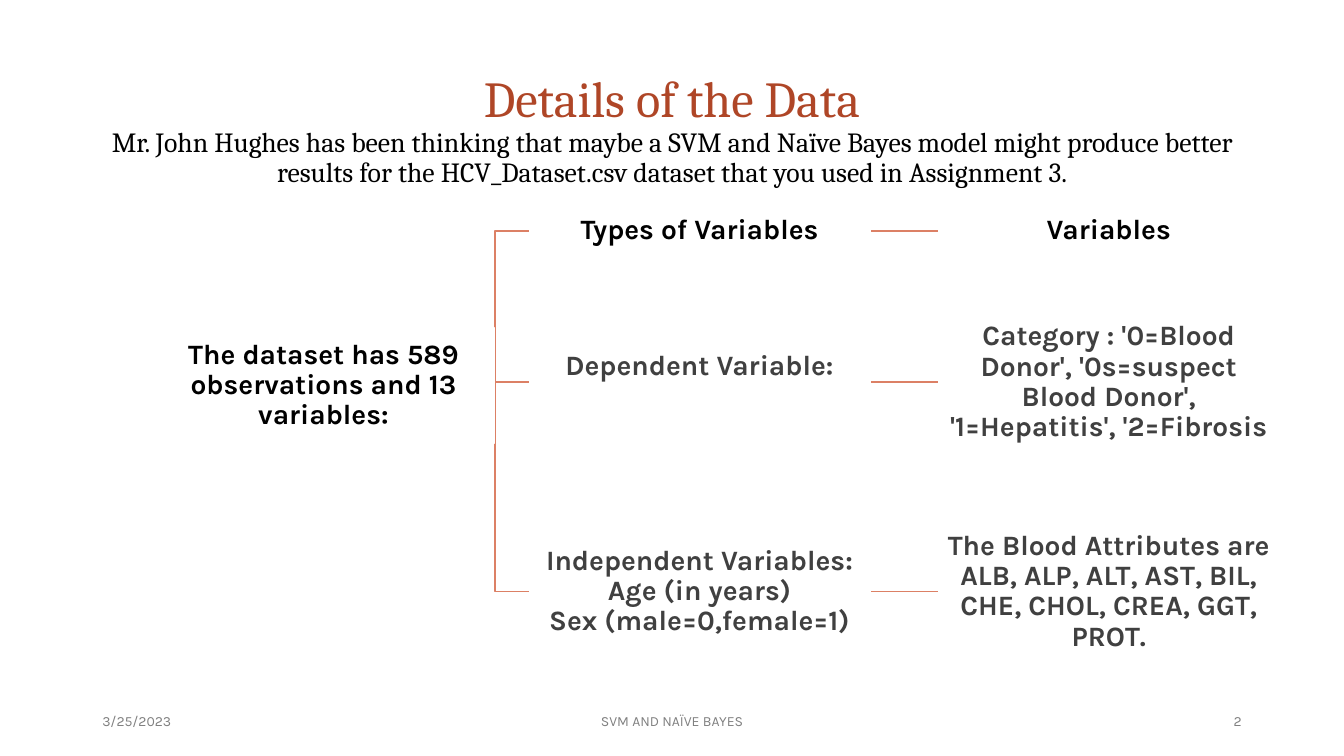
"""Build the slide that shows the variables of the HCV data set as a tree."""
import dataclasses

import lxml.etree
import pptx
import pptx.dml.color
import pptx.enum.shapes
import pptx.enum.text
import pptx.util

Pt = pptx.util.Pt
RGB = pptx.dml.color.RGBColor.from_string
ALIGN = pptx.enum.text.PP_ALIGN


@dataclasses.dataclass(frozen=True)
class Theme:
    heading: str = "Cambria"
    body: str = "Karla"
    title: str = "AF4627"
    black: str = "000000"
    dark: str = "404040"
    grey: str = "808080"
    white: str = "FFFFFF"
    branch: str = "DC8065"
    title_size: float = 36
    subtitle_size: float = 19.8
    node_size: float = 20
    footer_size: float = 10


theme = Theme()


def add_run(p, text, font, size, color, bold=False):
    r = p.add_run()
    r.text = text
    r.font.name = font
    r.font.size = Pt(size)
    r.font.color.rgb = RGB(color)
    r.font.bold = bold


def style_line(sp):
    sp.line.color.rgb = RGB(theme.branch)
    sp.line.width = Pt(1)


prs = pptx.Presentation()
prs.slide_width, prs.slide_height = Pt(960), Pt(540)
s = prs.slides.add_slide(prs.slide_layouts[5])

title = s.shapes.title
title.left, title.top, title.width, title.height = Pt(66), Pt(55.5), Pt(828), Pt(77)
tf = title.text_frame
tf.word_wrap = True
tf.auto_size = pptx.enum.text.MSO_AUTO_SIZE.NONE
tf.vertical_anchor = pptx.enum.text.MSO_ANCHOR.MIDDLE
p = tf.paragraphs[0]
p.alignment = ALIGN.CENTER
p.line_spacing = 0.9
add_run(p, "Details of the Data", theme.heading, theme.title_size, theme.title)
p.add_line_break()
add_run(p, "Mr. John Hughes has been thinking that maybe a SVM and Naïve Bayes model "
        "might produce better results for the HCV_Dataset.csv dataset that you used "
        "in Assignment 3.", theme.heading, theme.subtitle_size, theme.black)

footers = [
    ("3/25/2023", 66, 216, ALIGN.LEFT),
    ("SVM AND NAÏVE BAYES", 318, 324, ALIGN.CENTER),
    ("2", 678, 216, ALIGN.RIGHT),
]
for text, left, width, align in footers:
    sp = s.shapes.add_textbox(Pt(left), Pt(500.4), Pt(width), Pt(28.8))
    tf = sp.text_frame
    tf.word_wrap = True
    tf.vertical_anchor = pptx.enum.text.MSO_ANCHOR.MIDDLE
    p = tf.paragraphs[0]
    p.alignment = align
    add_run(p, text, theme.body, theme.footer_size, theme.grey)

node_width = 243.4
root_left, type_left, variable_left = 109.4, 378, 670.3
root_right, trunk_x = root_left + node_width, 353.6
root_y = 275.2
row_ys = header_y, dependent_y, independent_y = 164.9, 272.9, 422.6

for y in reversed(row_ys):
    link = s.shapes.add_connector(
        pptx.enum.shapes.MSO_CONNECTOR.STRAIGHT,
        Pt(type_left + node_width), Pt(y), Pt(variable_left), Pt(y))
    style_line(link)
    lxml.etree.SubElement(link._element.spPr, pptx.oxml.ns.qn("a:effectLst"))

    builder = s.shapes.build_freeform(Pt(root_right), Pt(root_y))
    corners = [(trunk_x, root_y), (trunk_x, y), (type_left, y)]
    builder.add_line_segments([(Pt(cx), Pt(cy)) for cx, cy in corners], close=False)
    branch = builder.convert_to_shape()
    branch.shadow.inherit = False
    branch.fill.background()
    style_line(branch)

nodes = [
    (root_left, root_y, 82.8, theme.black, 0.7,
     ["The dataset has 589 observations and 13 variables:"]),
    (type_left, header_y, 38.9, theme.black, 0.7, ["Types of Variables"]),
    (variable_left, header_y, 37.4, theme.black, 0.7, ["Variables"]),
    (type_left, dependent_y, 110.9, theme.dark, 23, ["Dependent Variable:"]),
    (variable_left, dependent_y, 117.4, theme.dark, 0.7,
     ["Category : '0=Blood Donor', '0s=suspect Blood Donor', "
      "'1=Hepatitis', '2=Fibrosis"]),
    (type_left, independent_y, 115.9, theme.dark, 0.7,
     ["Independent Variables:", "Age (in years)", "Sex (male=0,female=1)"]),
    (variable_left, independent_y, 121, theme.dark, 0.7,
     ["The Blood Attributes are ALB, ALP, ALT, AST, BIL, CHE, CHOL, CREA, GGT, PROT."]),
]
for left, middle, height, color, bottom_inset, lines in nodes:
    node = s.shapes.add_shape(
        pptx.enum.shapes.MSO_SHAPE.RECTANGLE,
        Pt(left), Pt(middle - height / 2), Pt(node_width), Pt(height))
    node.shadow.inherit = False
    node.fill.solid()
    node.fill.fore_color.rgb = RGB(theme.white)
    node.line.color.rgb = RGB(theme.white)
    node.line.width = Pt(1)
    tf = node.text_frame
    tf.word_wrap = True
    tf.vertical_anchor = pptx.enum.text.MSO_ANCHOR.MIDDLE
    tf.margin_left = tf.margin_right = tf.margin_top = Pt(0.7)
    tf.margin_bottom = Pt(bottom_inset)
    p = tf.paragraphs[0]
    p.alignment = ALIGN.CENTER
    p.line_spacing = 0.9
    for i, line in enumerate(lines):
        if i:
            p.add_line_break()
        add_run(p, line, theme.body, theme.node_size, color, bold=True)

prs.save("out.pptx")
